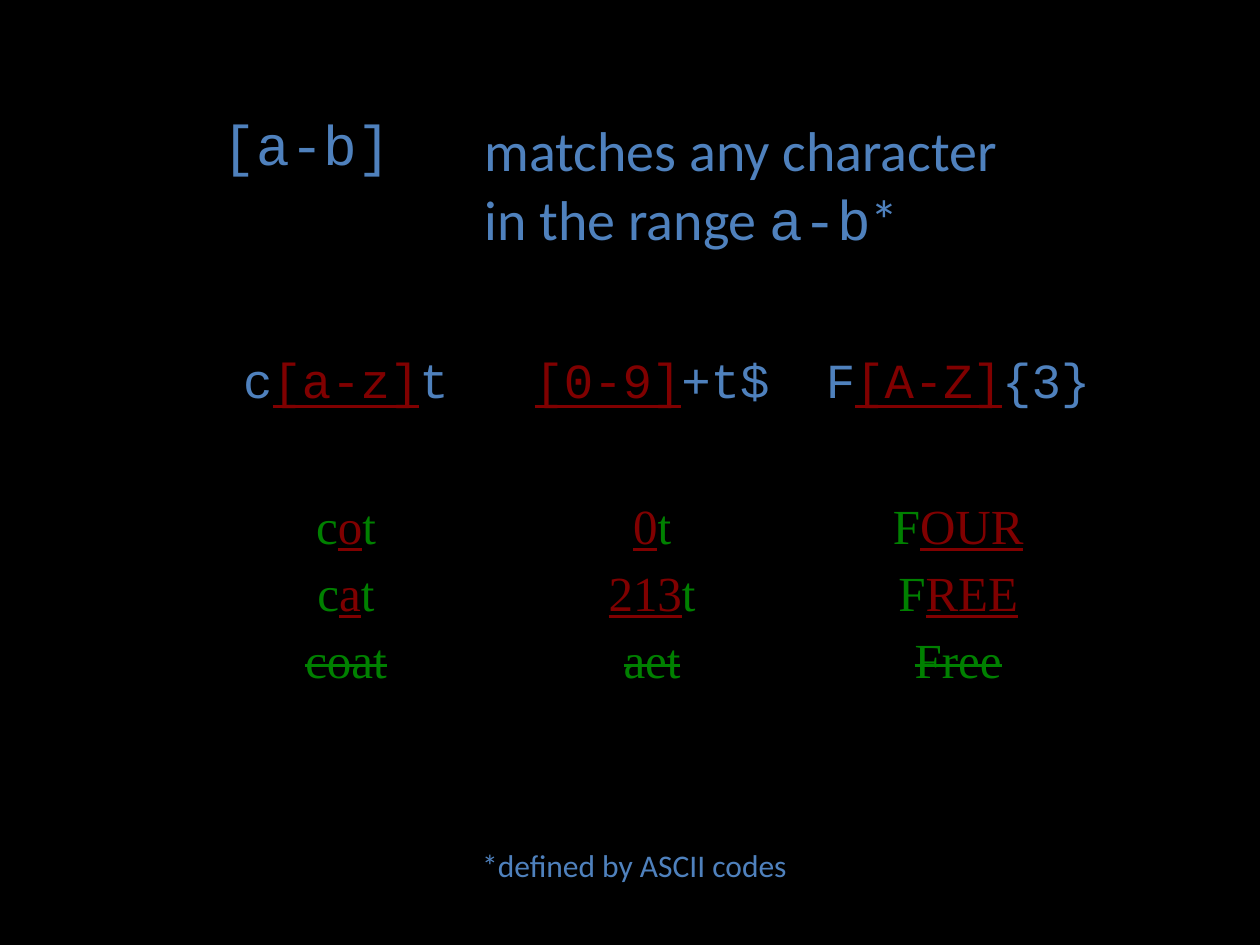
"""Build a slide explaining character ranges in regular expressions."""
from pptx import Presentation
from pptx.dml.color import RGBColor
from pptx.enum.text import MSO_AUTO_SIZE, PP_ALIGN
from pptx.util import Cm, Pt

CENTER, LEFT = PP_ALIGN.CENTER, PP_ALIGN.LEFT
FIT_SHAPE = MSO_AUTO_SIZE.SHAPE_TO_FIT_TEXT
NO_STYLE = "{2D5ABB26-0587-4C30-8999-92F81FD0307C}"
COLORS = {"background": "000000", "pattern": "4F81BD", "range": "800000", "example": "008000"}
SANS, MONO, SERIF = "Calibri", "Courier New", "Times New Roman"

STYLES = {
    "text": (SANS, "pattern"),
    "code": (MONO, "pattern"),
    "code range": (MONO, "range"),
    "example": (SERIF, "example"),
    "match": (SERIF, "range"),
    "miss": (SERIF, "example"),
}
UNDERLINED = ("code range", "match")

DEFINITION = [[
    [("[a-b]", "code")],
    [("matches any character in the range ", "text"), ("a-b", "code"), ("*", "text")],
]]
EXAMPLES = [
    [
        [("c", "code"), ("[a-z]", "code range"), ("t", "code")],
        [("[0-9]", "code range"), ("+t$", "code")],
        [("F", "code"), ("[A-Z]", "code range"), ("{3}", "code")],
    ],
    [[], [], []],
    [
        [("c", "example"), ("o", "match"), ("t", "example")],
        [("0", "match"), ("t", "example")],
        [("F", "example"), ("OUR", "match")],
    ],
    [
        [("c", "example"), ("a", "match"), ("t", "example")],
        [("213", "match"), ("t", "example")],
        [("F", "example"), ("REE", "match")],
    ],
    [[("coat", "miss")], [("aet", "miss")], [("Free", "miss")]],
]
FOOTNOTE = [("*defined by ASCII codes", "text")]


def write_runs(paragraph, runs, size, alignment=LEFT):
    paragraph.alignment = alignment
    for text, style in runs:
        run = paragraph.add_run()
        run.text = text
        typeface, color = STYLES[style]
        run.font.name = typeface
        run.font.size = Pt(size)
        run.font.color.rgb = RGBColor.from_string(COLORS[color])
        if style in UNDERLINED:
            run.font.underline = True
        if style == "miss":
            run._r.get_or_add_rPr().set("strike", "sngStrike")


def add_plain_table(slide, content, left, top, widths, heights, size, alignment):
    frame = slide.shapes.add_table(
        len(heights), len(widths), Cm(left), Cm(top), Cm(sum(widths)), Cm(sum(heights)))
    table = frame.table
    table._tbl.tblPr.find("{*}tableStyleId").text = NO_STYLE
    table.first_row = table.horz_banding = False
    for column, width in zip(table.columns, widths):
        column.width = Cm(width)
    for row, height, cells in zip(table.rows, heights, content):
        row.height = Cm(height)
        for cell, runs in zip(row.cells, cells):
            cell.fill.background()
            write_runs(cell.text_frame.paragraphs[0], runs, size, alignment)


def main():
    presentation = Presentation()
    presentation.slide_width, presentation.slide_height = Cm(25.4), Cm(19.05)
    slide = presentation.slides.add_slide(presentation.slide_layouts[6])
    slide.background.fill.solid()
    slide.background.fill.fore_color.rgb = RGBColor.from_string(COLORS["background"])

    add_plain_table(slide, DEFINITION, 4.24, 2.26, [5.28, 11.66], [2.97], 32, LEFT)
    add_plain_table(slide, EXAMPLES, 3.89, 7.09, [6.17] * 3,
                    [1.35, 1.5, 1.35, 1.35, 1.35], 28, CENTER)

    footnote = slide.shapes.add_textbox(Cm(9.47), Cm(16.94), Cm(7.19), Cm(1.02))
    footnote.text_frame.word_wrap = False
    footnote.text_frame.auto_size = FIT_SHAPE
    write_runs(footnote.text_frame.paragraphs[0], FOOTNOTE, 18)
    presentation.save("out.pptx")


if __name__ == "__main__":
    main()
